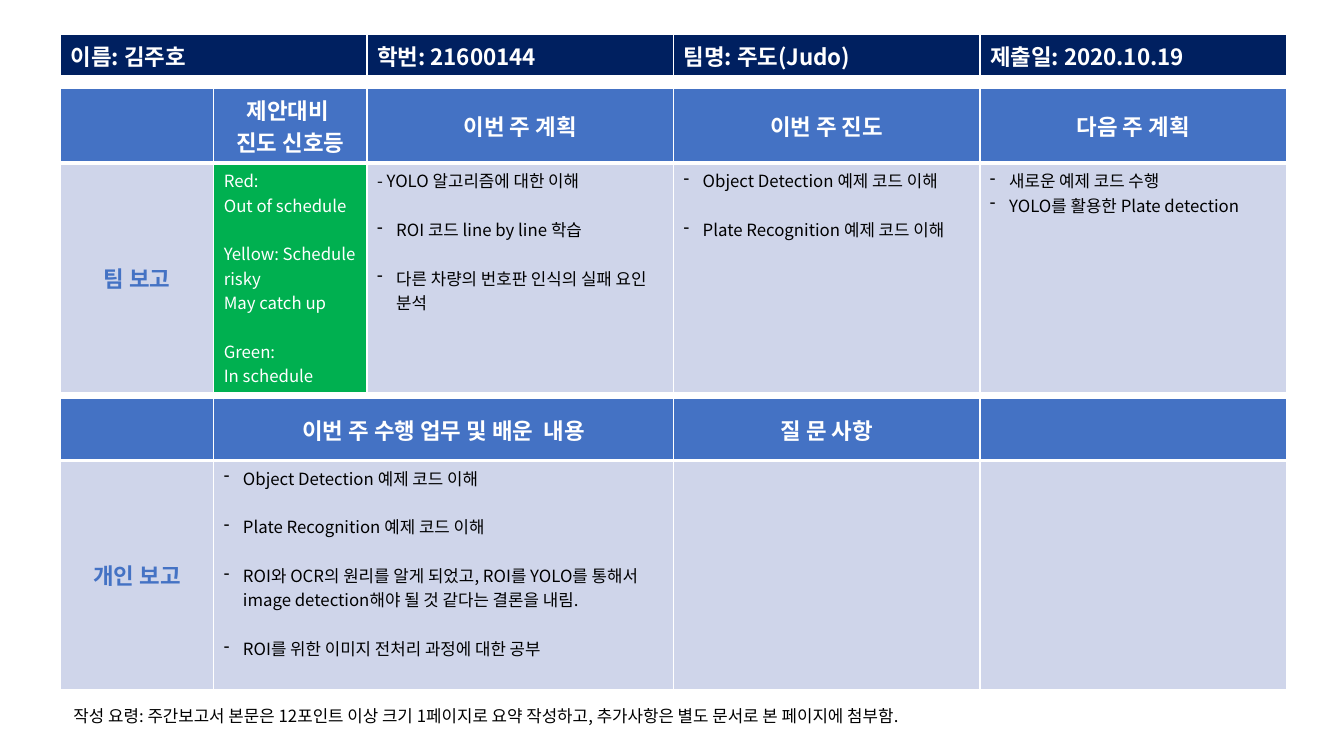
"""Build a one-page weekly team report slide made of three tables and a note."""
import pptx
import pptx.dml.color
import pptx.enum.text
import pptx.oxml
import pptx.oxml.ns
import pptx.util
from pptx.util import Inches

COLORS = {
    "white": "FFFFFF",
    "black": "000000",
    "navy": "002060",
    "blue": "4472C4",
    "pale": "CFD5EA",
    "green": "00B050",
}
FONT = "Noto Sans CJK KR"
LEFT = 0.6
QUARTER = 3.04
LABEL = QUARTER / 2
REPORT_ROW = 2.27


class ReportSlide:
    """Hold the report's style and current slide, with a method per element."""

    def __init__(self, presentation):
        self.slide = presentation.slides.add_slide(presentation.slide_layouts[6])
        self.indent = Inches(0.19)
        self.gap = pptx.util.Pt(17.4)

    def color(self, name):
        return pptx.dml.color.RGBColor.from_string(COLORS[name])

    def xml(self, tag, attributes="", content=""):
        namespace = pptx.oxml.ns.nsdecls("a")
        return pptx.oxml.parse_xml(f"<a:{tag} {namespace} {attributes}>{content}</a:{tag}>")

    def run(self, paragraph, text, size, color, bold=False):
        run = paragraph.add_run()
        run.text = text
        run.font.size = pptx.util.Pt(size)
        run.font.bold = bold
        run.font.color.rgb = self.color(color)
        run.font.name = FONT
        run.font._element.append(self.xml("ea", f'typeface="{FONT}"'))

    def bullet(self, paragraph):
        properties = paragraph._p.get_or_add_pPr()
        properties.set("marL", str(self.indent))
        properties.set("indent", str(-self.indent))
        properties.append(self.xml("buChar", 'char="-"'))

    def table(self, top, widths, heights):
        frame = self.slide.shapes.add_table(
            len(heights), len(widths), Inches(LEFT), Inches(top),
            Inches(sum(widths)), Inches(sum(heights)))
        table = frame.table
        table.horz_banding = False
        for column, width in zip(table.columns, widths):
            column.width = Inches(width)
        for row, height in zip(table.rows, heights):
            row.height = Inches(height)
        return table

    def paint(self, cell, fill, bottom=1):
        properties = cell._tc.get_or_add_tcPr()
        line = f'<a:solidFill><a:srgbClr val="{COLORS["white"]}"/></a:solidFill>'
        for side, points in (("L", 1), ("R", 1), ("T", 1), ("B", bottom)):
            width = pptx.util.Pt(points)
            properties.append(self.xml(f"ln{side}", f'w="{width}"', line))
        cell.fill.solid()
        cell.fill.fore_color.rgb = self.color(fill)

    def heading(self, cell, lines, fill, color="white", centered=True, bottom=3):
        self.paint(cell, fill, bottom)
        if centered:
            cell.vertical_anchor = pptx.enum.text.MSO_ANCHOR.MIDDLE
        for index, text in enumerate(lines):
            frame = cell.text_frame
            paragraph = frame.add_paragraph() if index else frame.paragraphs[0]
            if centered:
                paragraph.alignment = pptx.enum.text.PP_ALIGN.CENTER
            self.run(paragraph, text, 16, color, True)

    def body(self, cell, groups, fill="pale", color="black", plain=0):
        """Write groups of lines set apart by a gap; the first plain lines get no bullet."""
        self.paint(cell, fill)
        count = 0
        for group in groups:
            for position, text in enumerate(group):
                frame = cell.text_frame
                paragraph = frame.add_paragraph() if count else frame.paragraphs[0]
                if count and position == 0:
                    paragraph.space_before = self.gap
                if count >= plain:
                    self.bullet(paragraph)
                self.run(paragraph, text, 12, color)
                count += 1

    def report(self, top, widths, header_height, headings, label):
        table = self.table(top, widths, [header_height, REPORT_ROW])
        for column, lines in enumerate(headings):
            self.heading(table.cell(0, column), lines, "blue")
        self.heading(table.cell(1, 0), [label], "pale", "blue", bottom=1)
        return table

    def note(self, text):
        box = self.slide.shapes.add_textbox(
            Inches(0.63), Inches(6.95), Inches(9.12), Inches(0.3))
        box.text_frame.word_wrap = False
        box.text_frame.auto_size = pptx.enum.text.MSO_AUTO_SIZE.SHAPE_TO_FIT_TEXT
        self.run(box.text_frame.paragraphs[0], text, 12, "black")


def main():
    presentation = pptx.Presentation()
    presentation.slide_width = Inches(13.33)
    presentation.slide_height = Inches(7.5)
    report = ReportSlide(presentation)

    details = ["이름: 김주호", "학번: 21600144", "팀명: 주도(Judo)", "제출일: 2020.10.19"]
    identity = report.table(0.34, [QUARTER] * 4, [0.41])
    for column, text in enumerate(details):
        report.heading(identity.cell(0, column), [text], "navy", centered=False)

    team = report.report(
        0.88, [LABEL, LABEL] + [QUARTER] * 3, 0.73,
        [[], ["제안대비 ", "진도 신호등"], ["이번 주 계획"], ["이번 주 진도"], ["다음 주 계획"]],
        "팀 보고")
    signals = [
        ["Red:", "Out of schedule"],
        ["Yellow: Schedule risky", "May catch up"],
        ["Green:", "In schedule"],
    ]
    plan = [
        ["- YOLO 알고리즘에 대한 이해"],
        ["ROI 코드 line by line 학습"],
        ["다른 차량의 번호판 인식의 실패 요인 분석"],
    ]
    progress = [["Object Detection 예제 코드 이해"], ["Plate Recognition 예제 코드 이해"]]
    next_week = [["새로운 예제 코드 수행", "YOLO를 활용한 Plate detection"]]
    report.body(team.cell(1, 1), signals, "green", "white", plain=6)
    report.body(team.cell(1, 2), plan, plain=1)
    report.body(team.cell(1, 3), progress)
    report.body(team.cell(1, 4), next_week)

    personal = report.report(
        3.95, [LABEL, LABEL + QUARTER, QUARTER, QUARTER], 0.62,
        [[], ["이번 주 수행 업무 및 배운  내용"], ["질 문 사항"], []],
        "개인 보고")
    learned = progress + [
        ["ROI와 OCR의 원리를 알게 되었고, ROI를 YOLO를 통해서 image detection해야 될 것 같다는 결론을 내림."],
        ["ROI를 위한 이미지 전처리 과정에 대한 공부"],
    ]
    for column, groups in enumerate([learned, [], []], start=1):
        report.body(personal.cell(1, column), groups)

    report.note("작성 요령: 주간보고서 본문은 12포인트 이상 크기 1페이지로 요약 작성하고, "
                "추가사항은 별도 문서로 본 페이지에 첨부함.")
    presentation.save("out.pptx")


if __name__ == "__main__":
    main()
